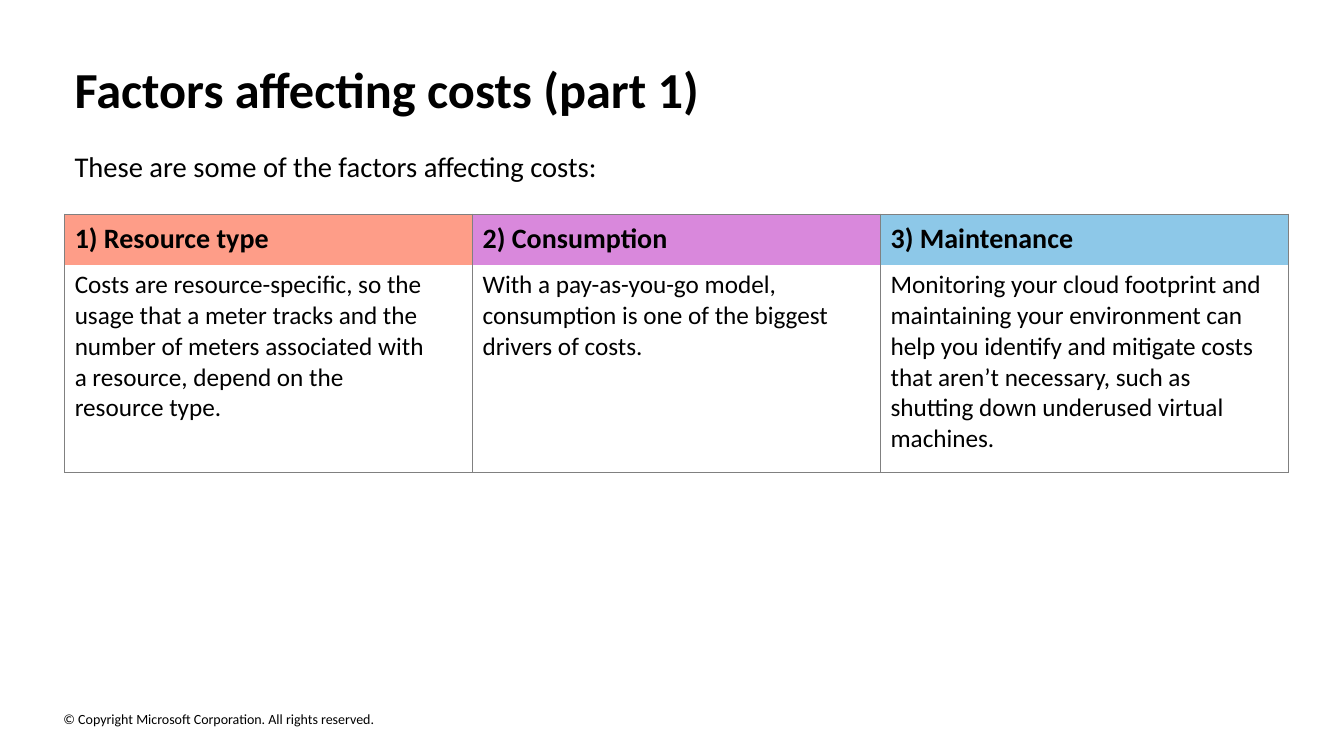
import pptx
import pptx.util
import pptx.dml.color
import pptx.enum.text
from lxml import etree
from pptx.oxml.ns import qn

Cm, Pt = pptx.util.Cm, pptx.util.Pt
RGB = pptx.dml.color.RGBColor.from_string
MIDDLE = pptx.enum.text.MSO_ANCHOR.MIDDLE
TOP = pptx.enum.text.MSO_ANCHOR.TOP
COLORS = {"text": "000000", "border": "808080", "body": "FFFFFF",
          "resource": "FE9D88", "consumption": "D988DC", "maintenance": "8DC8E8"}

prs = pptx.Presentation()
prs.slide_width, prs.slide_height = Cm(33.87), Cm(19.05)
s = prs.slides.add_slide(prs.slide_layouts[6])


def style(tf, size, bold=False):
    for p in tf.paragraphs:
        for r in p.runs:
            r.font.name = "Calibri"
            r.font.size = Pt(size)
            r.font.bold = bold
            r.font.color.rgb = RGB(COLORS["text"])


def set_borders(cell, sides):
    """Line the sides named by letters (L, R, T, B) and clear the others."""
    tc_pr = cell._tc.get_or_add_tcPr()
    for i, side in enumerate("LRTB"):
        ln = etree.Element(qn("a:ln" + side), w=str(Pt(0.5)))
        if side in sides:
            fill = etree.SubElement(ln, qn("a:solidFill"))
            etree.SubElement(fill, qn("a:srgbClr"), val=COLORS["border"])
        else:
            etree.SubElement(ln, qn("a:noFill"))
        tc_pr.insert(i, ln)


# text, left, top, width, height, size, bold, line spacing, anchor, inset
texts = [
    ("Factors affecting costs (part 1)",
     1.63, 1.63, 30.58, 1.37, 36, True, 0.9, MIDDLE, 0.25),
    ("These are some of the factors affecting costs:",
     1.63, 3.86, 30.58, 0.94, 20.4, False, 0.7, TOP, 0.25),
    ("© Copyright Microsoft Corporation. All rights reserved.",
     1.6, 17.83, 11.53, 0.56, 10, False, 1.0, MIDDLE, 0),
]
for text, left, top, width, height, size, bold, spacing, anchor, inset in texts:
    tf = s.shapes.add_textbox(Cm(left), Cm(top), Cm(width), Cm(height)).text_frame
    tf.word_wrap = True
    tf.vertical_anchor = anchor
    tf.margin_left = tf.margin_right = Cm(inset)
    tf.margin_top = tf.margin_bottom = Cm(inset / 2)
    tf.text = text
    tf.paragraphs[0].line_spacing = spacing
    style(tf, size, bold)

factors = [
    ("1) Resource type", "resource",
     "Costs are resource-specific, so the usage that a meter tracks and the "
     "number of meters associated with \va resource, depend on the \vresource type."),
    ("2) Consumption", "consumption",
     "With a pay-as-you-go model, consumption is one of the biggest drivers of costs."),
    ("3) Maintenance", "maintenance",
     "Monitoring your cloud footprint and maintaining your environment can help you "
     "identify and mitigate costs that aren’t necessary, such as shutting down "
     "underused virtual machines."),
]
table = s.shapes.add_table(2, len(factors), Cm(1.63), Cm(5.39), Cm(30.84), Cm(6.5)).table
table.rows[0].height, table.rows[1].height = Cm(1.28), Cm(5.22)
for col, (heading, color, description) in enumerate(factors):
    table.columns[col].width = Cm(10.28)
    rows = [(heading, color, 20, True, MIDDLE, "LRT"),
            (description, "body", 18, False, TOP, "LRB")]
    for row, (text, fill, size, bold, anchor, sides) in enumerate(rows):
        cell = table.cell(row, col)
        cell.text_frame.text = text
        cell.vertical_anchor = anchor
        cell.fill.solid()
        cell.fill.fore_color.rgb = RGB(COLORS[fill])
        set_borders(cell, sides)
        style(cell.text_frame, size, bold)

prs.save("out.pptx")
